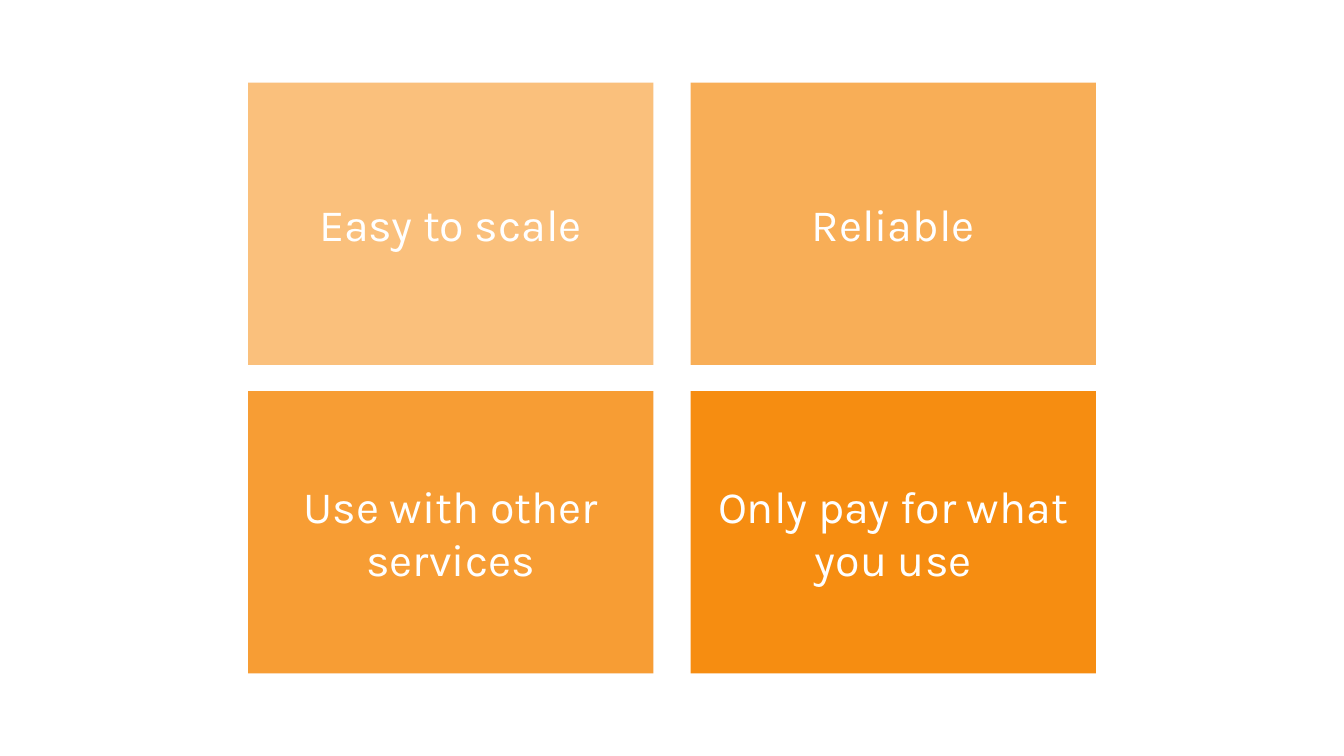
from dataclasses import dataclass

from lxml import etree
from pptx import Presentation
from pptx.dml.color import RGBColor
from pptx.enum.shapes import MSO_SHAPE as Shape
from pptx.enum.text import MSO_ANCHOR as Anchor, PP_ALIGN as Align
from pptx.oxml.ns import qn
from pptx.util import Inches, Pt


@dataclass(frozen=True)
class Theme:
    orange: RGBColor = RGBColor.from_string("F68D11")
    white: RGBColor = RGBColor.from_string("FFFFFF")
    font: str = "Karla"
    size: int = 32


theme = Theme()

deck = Presentation()
deck.slide_width = Inches(13.33)
deck.slide_height = Inches(7.5)
page = deck.slides.add_slide(deck.slide_layouts[6])

left, top = 2.46, 0.82
width, height = 4.02, 2.8
column_step, row_step = 4.39, 3.06

benefits = [
    ("Easy to scale", 0, 0, 55),
    ("Use with other services", 0, 1, 85),
    ("Reliable", 1, 0, 70),
    ("Only pay for what you use", 1, 1, 100),
]

for label, column, row, opacity in benefits:
    box = page.shapes.add_shape(
        Shape.RECTANGLE,
        Inches(left + column * column_step),
        Inches(top + row * row_step),
        Inches(width),
        Inches(height),
    )
    box.shadow.inherit = False
    box.line.fill.background()
    box.fill.solid()
    box.fill.fore_color.rgb = theme.orange
    if opacity < 100:
        color = box.element.spPr.find(qn("a:solidFill")).find(qn("a:srgbClr"))
        etree.SubElement(color, qn("a:alpha")).set("val", str(opacity * 1000))

    frame = box.text_frame
    frame.word_wrap = True
    frame.vertical_anchor = Anchor.MIDDLE
    para = frame.paragraphs[0]
    para.alignment = Align.CENTER
    span = para.add_run()
    span.text = label
    span.font.name = theme.font
    span.font.size = Pt(theme.size)
    span.font.color.rgb = theme.white

deck.save("out.pptx")
